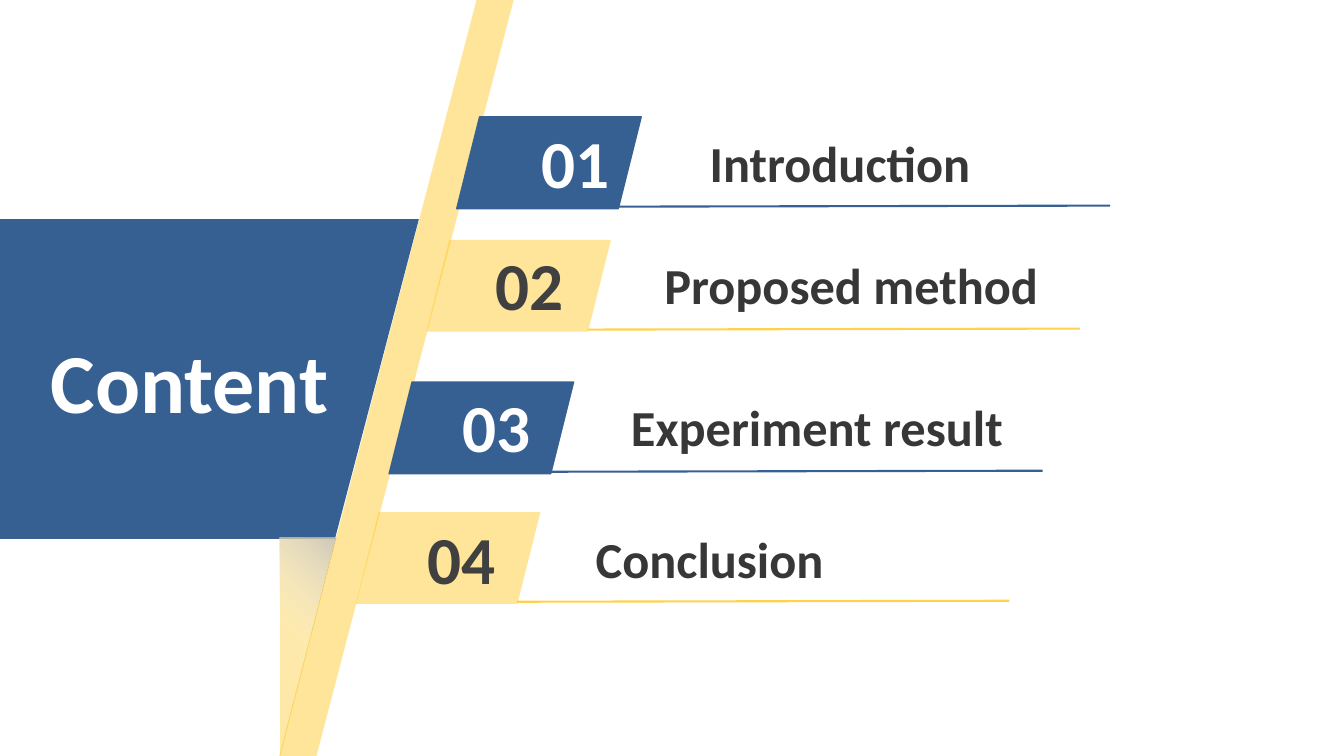
import pptx
import pptx.util
import pptx.dml.color
import pptx.enum.shapes
import pptx.enum.text
import pptx.oxml
import pptx.oxml.ns
import lxml.etree

RGBColor = pptx.dml.color.RGBColor
Shape = pptx.enum.shapes.MSO_SHAPE
Align = pptx.enum.text.PP_ALIGN

BLUE = RGBColor(0x37, 0x60, 0x92)
GOLD = RGBColor(0xFF, 0xC0, 0x00)
WHITE = RGBColor(0xFF, 0xFF, 0xFF)
DARK = RGBColor(0x40, 0x40, 0x40)
INK = RGBColor(0x37, 0x37, 0x37)
SILVER = RGBColor(0xBF, 0xBF, 0xBF)

PIXELS_PER_INCH = 100
SCALE = 914400 // PIXELS_PER_INCH
DRAWING = pptx.oxml.ns.nsdecls("a")

TOPICS = [
    ("01", "Introduction", (453, 116), (518, 115), 363),
    ("02", "Proposed method", (423, 238), (473, 236), 475),
    ("03", "Experiment result", (386, 379), (440, 377), 506),
    ("04", "Conclusion", (353, 508), (405, 508), 520),
]


def px(*lengths):
    return [pptx.util.Emu(length * SCALE) for length in lengths]


def set_alpha(color_parent, percent):
    color = color_parent.find(".//" + pptx.oxml.ns.qn("a:srgbClr"))
    alpha = lxml.etree.SubElement(color, pptx.oxml.ns.qn("a:alpha"))
    alpha.set("val", str(percent * 1000))


def add_block(page, kind, box, color, alpha=100):
    block = page.shapes.add_shape(kind, *px(*box))
    block.shadow.inherit = False
    block.fill.solid()
    block.fill.fore_color.rgb = color
    block.line.fill.background()
    if alpha < 100:
        set_alpha(block._element.spPr.find(pptx.oxml.ns.qn("a:solidFill")), alpha)
    return block


def write_text(holder, words, size, color, align):
    frame = holder.text_frame
    settings = {
        "word_wrap": True,
        "auto_size": pptx.enum.text.MSO_AUTO_SIZE.SHAPE_TO_FIT_TEXT,
        "vertical_anchor": pptx.enum.text.MSO_ANCHOR.TOP,
    }
    for name, value in settings.items():
        setattr(frame, name, value)
    para = frame.paragraphs[0]
    para.alignment = align
    span = para.add_run()
    span.text = words
    look = {"name": "Calibri", "size": pptx.util.Pt(size), "bold": True}
    for name, value in look.items():
        setattr(span.font, name, value)
    span.font.color.rgb = color


def add_text(page, box, words, size, color, align):
    write_text(page.shapes.add_textbox(*px(*box)), words, size, color, align)


def add_rule(page, left, top, width, color, alpha):
    ends = px(left, top, left + width, top - 1)
    rule = page.shapes.add_connector(pptx.enum.shapes.MSO_CONNECTOR.STRAIGHT, *ends)
    rule.line.color.rgb = color
    rule.line.width = pptx.util.Pt(1.5)
    properties = rule._element.spPr
    if alpha < 100:
        set_alpha(properties.find(pptx.oxml.ns.qn("a:ln")), alpha)
    lxml.etree.SubElement(properties, pptx.oxml.ns.qn("a:effectLst"))


def draw_band(page, box):
    left, top, width, height = box
    for shift, color, alpha in [(0, GOLD, 40), (37, WHITE, 100)]:
        place = (left + shift, top, width, height)
        band = add_block(page, Shape.PARALLELOGRAM, place, color, alpha)
        band.adjustments[0] = 0.623


def draw_title(page, box):
    left, top, width, height = box
    upright = (left + (width - height) // 2, top - (width - height) // 2, height, width)
    panel = add_block(page, Shape.FLOWCHART_MANUAL_INPUT, upright, BLUE)
    panel.rotation = 90
    panel._element.spPr.xfrm.set("flipH", "1")
    title = page.shapes.title
    place = px(left + 32, top + 105, 312, 111)
    for name, value in zip(("left", "top", "width", "height"), place):
        setattr(title, name, value)
    write_text(title, "Content", 60, WHITE, Align.CENTER)
    page.shapes._spTree.append(title._element)


def draw_topic(page, box, number, label, number_at, label_width, blue):
    left, top, width, height = box
    tag = add_block(page, Shape.PARALLELOGRAM, box, BLUE if blue else GOLD, 100 if blue else 40)
    if blue:
        tag.line.color.rgb = BLUE
        tag.line.width = pptx.util.Pt(1)
    number_left, number_top = number_at
    add_text(page, (number_left, number_top, 105, 91), number, 48,
             WHITE if blue else DARK, Align.CENTER)
    add_text(page, (number_left + 176, number_top + 11, label_width, 71), label, 36,
             INK, Align.LEFT)
    add_rule(page, left + width - 23, top + height - 2, 488,
             BLUE if blue else GOLD, 100 if blue else 70)


def draw_fold(page, box):
    left, top, width, height = box
    tint = add_block(page, Shape.RIGHT_TRIANGLE, (left + 1, top, width, height), GOLD, 40)
    shade = add_block(page, Shape.RIGHT_TRIANGLE, box, WHITE)
    for triangle in (tint, shade):
        triangle._element.spPr.xfrm.set("flipV", "1")
    stops = "".join(
        f'<a:gs pos="{place * 1000}"><a:srgbClr val="{color}">'
        f'<a:alpha val="{alpha * 1000}"/></a:srgbClr></a:gs>'
        for place, color, alpha in [(0, WHITE, 10), (50, WHITE, 20), (100, SILVER, 80)]
    )
    gradient = pptx.oxml.parse_xml(
        f'<a:gradFill {DRAWING} rotWithShape="1"><a:gsLst>{stops}</a:gsLst>'
        '<a:lin ang="2700000" scaled="0"/></a:gradFill>'
    )
    properties = shade._element.spPr
    properties.replace(properties.find(pptx.oxml.ns.qn("a:solidFill")), gradient)


def main():
    deck = pptx.Presentation()
    deck.slide_width, deck.slide_height = px(1333, 750)
    page = deck.slides.add_slide(deck.slide_layouts[5])
    draw_band(page, (277, 0, 314, 750))
    draw_title(page, (0, 217, 416, 317))
    for index, (number, label, tag_at, number_at, label_width) in enumerate(TOPICS):
        draw_topic(page, (*tag_at, 183, 91), number, label, number_at,
                   label_width, index % 2 == 0)
    draw_fold(page, (277, 533, 56, 217))
    deck.save("out.pptx")


if __name__ == "__main__":
    main()
